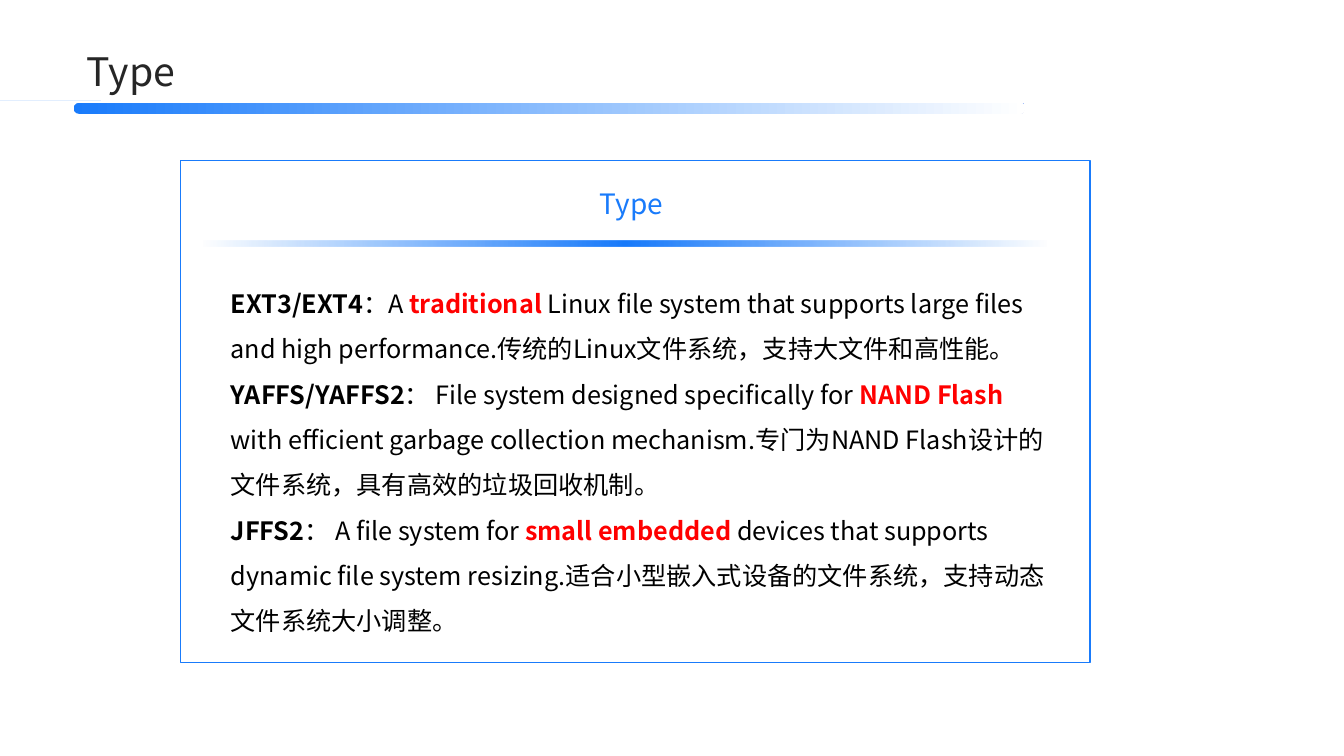
"""Build the slide on Linux file system types."""
from lxml import etree
from pptx import Presentation
from pptx.dml.color import RGBColor
from pptx.enum import shapes as s, text as t
from pptx.oxml import ns
from pptx.util import Inches

from pptx import util as u

THEME = {
    "font": "Noto Sans CJK SC",
    "blue": "197BFB", "white": "FFFFFF", "ink": "262626",
    "black": "000000", "red": "FF0000",
    "head": 28, "sub": 20, "body": 18,
}

TITLE = [[("Type", "ink", False)]]
LABEL = [[("Type ", "blue", False)]]
ITEMS = [
    ("EXT3/EXT4", "：A ", "traditional",
     " Linux file system that supports large files and high performance."
     "传统的Linux文件系统，支持大文件和高性能。"),
    ("YAFFS/YAFFS2", "： File system designed specifically for ", "NAND Flash ",
     "with efficient garbage collection mechanism."
     "专门为NAND Flash设计的文件系统，具有高效的垃圾回收机制。"),
    ("JFFS2", "： A file system for ", "small embedded ",
     "devices that supports dynamic file system resizing."
     "适合小型嵌入式设备的文件系统，支持动态文件系统大小调整。"),
]
LOOKS = [("black", True), ("black", False), ("red", True), ("black", False)]
BODY = [[(word, *look) for word, look in zip(item, LOOKS)] for item in ITEMS]

TEXTS = [
    (LABEL, (4.53, 1.7, 3.53, 0.48), "sub",
     {"alignment": t.PP_ALIGN.CENTER, "line_spacing": 1.3}, {}),
    (BODY, (2.19, 2.66, 8.38, 4.51), "body", {"line_spacing": 1.5}, {}),
    (TITLE, (0.86, 0.42, 11.67, 0.51), "head", {"line_spacing": 1.1},
     {"vertical_anchor": t.MSO_ANCHOR.MIDDLE, "margin_left": 0,
      "margin_top": 0, "margin_right": 0, "margin_bottom": 0}),
]

PANEL = (1.79, 1.59, 9.02, 4.98)
RULE = (2.01, 2.39, 8.38, 0.06)
BAR = (0.73, 1.02, 9.44, 0.11)
FADE = [(0, "blue", 0), (50, "blue", 100), (100, "blue", 0)]
SWEEP = [(0, "blue", 100), (100, "white", 100)]

START = (0.27, 0.58)
ARROW = [
    [(0.26, 0.6), (0.26, 0.62), (0.28, 0.66)],
    [(0.33, 0.72)],
    [(0.18, 0.84)],
    [(0.14, 0.87), (0.13, 0.92), (0.16, 0.96)],
    [(0.19, 1), (0.24, 1.01), (0.28, 0.98)],
    [(0.43, 0.86)],
    [(0.48, 0.93)],
    [(0.48, 0.93), (0.55, 1), (0.6, 0.92)],
    [(0.73, 0.6)],
    [(0.73, 0.6), (0.76, 0.5), (0.66, 0.51)],
    [(0.33, 0.55)],
    [(0.33, 0.55), (0.29, 0.56), (0.27, 0.58)],
]
STEPS = 10


def tint(name):
    return RGBColor.from_string(THEME[name])


def put(obj, vals):
    for key, val in vals.items():
        setattr(obj, key, val)


def plain(shape, fill, line=None):
    shape.shadow.inherit = False
    shape.fill.solid()
    shape.fill.fore_color.rgb = tint(fill)
    if line:
        shape.line.color.rgb = tint(line)
        shape.line.width = u.Pt(1)
    else:
        shape.line.fill.background()


def blend(shape, stops):
    shape.shadow.inherit = False
    shape.line.fill.background()
    shape.fill.gradient()
    shape.fill.gradient_angle = 0
    group = shape._element.spPr.find(".//" + ns.qn("a:gsLst"))
    for old in list(group):
        group.remove(old)
    for pos, name, alpha in stops:
        stop = etree.SubElement(group, ns.qn("a:gs"), pos=str(pos * 1000))
        color = etree.SubElement(stop, ns.qn("a:srgbClr"), val=THEME[name])
        if alpha < 100:
            etree.SubElement(color, ns.qn("a:alpha"), val=str(alpha * 1000))


def write(slide, paras, box, size, style, frame):
    body = slide.shapes.add_textbox(*map(Inches, box)).text_frame
    put(body, {"word_wrap": True, **frame})
    for num, runs in enumerate(paras):
        para = body.add_paragraph() if num else body.paragraphs[0]
        put(para, style)
        for word, color, bold in runs:
            run = para.add_run()
            run.text = word
            run.font.color.rgb = tint(color)
            put(run.font, {"name": THEME["font"], "bold": bold,
                           "size": u.Pt(THEME[size])})
            etree.SubElement(run.font._element, ns.qn("a:ea"),
                             typeface=THEME["font"])


def curve(a, b, c, d):
    for step in range(1, STEPS + 1):
        k = step / STEPS
        j = 1 - k
        yield tuple(j**3 * p + 3 * j * j * k * q + 3 * j * k * k * r + k**3 * e
                    for p, q, r, e in zip(a, b, c, d))


def arrow(slide):
    dots = [START]
    for part in ARROW:
        dots += list(curve(dots[-1], *part)) if len(part) == 3 else part
    pen = slide.shapes.build_freeform(*START, scale=Inches(1))
    pen.add_line_segments(dots[1:], close=True)
    plain(pen.convert_to_shape(), "blue")


def main():
    deck = Presentation()
    put(deck, {"slide_width": Inches(13.33), "slide_height": Inches(7.5)})
    slide = deck.slides.add_slide(deck.slide_layouts[6])
    kinds = s.MSO_SHAPE

    def block(kind, box):
        return slide.shapes.add_shape(kind, *map(Inches, box))

    plain(block(kinds.RECTANGLE, PANEL), "white", "blue")
    blend(block(kinds.RECTANGLE, RULE), FADE)
    bar = block(kinds.ROUNDED_RECTANGLE, BAR)
    bar.adjustments[0] = 0.5
    blend(bar, SWEEP)
    for item in TEXTS:
        write(slide, *item)
    arrow(slide)
    deck.save("out.pptx")


if __name__ == "__main__":
    main()
